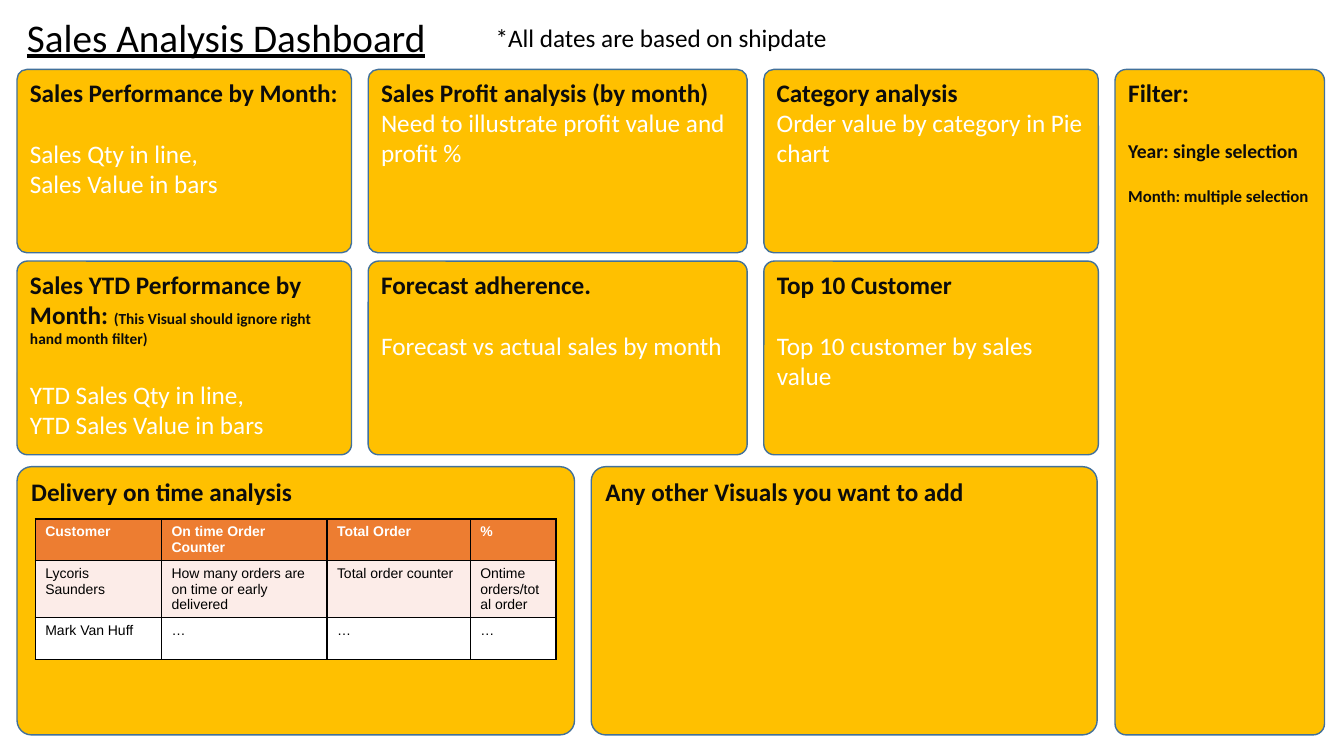
import itertools

import pptx
import pptx.dml.color
import pptx.enum.shapes
import pptx.enum.text
import pptx.oxml
import pptx.oxml.ns
import pptx.util

Cm, Pt = pptx.util.Cm, pptx.util.Pt

AMBER, EDGE, INK, WHITE, BLACK = "FFC000", "42719B", "0C0C0C", "FFFFFF", "000000"
HEADER, TINT = "ED7D31", "FCECE8"

# A line is (space before in points, [(text, size, bold, colour), ...])
def head(text):
    return 0, [(text, 18, True, INK)]


def note(text, before=0):
    return before, [(text, 18, False, WHITE)]


SKIP = 22  # height of one 18 pt line
GAP = 0.42
LEFT = 0.43
COLUMN_WIDTHS = [8.43, 9.55, 8.43, 5.28]
BOTTOM_WIDTHS = [14.05, 12.75]
ROWS = [(1.75, 4.62), (6.58, 4.88), (11.76, 6.76)]  # top, height

UPPER_PANELS = [
    [
        [head("Sales Performance by Month:"), note("Sales Qty in line,", SKIP),
         note("Sales Value in bars")],
        [head("Sales Profit analysis (by month)"),
         note("Need to illustrate profit value and profit %")],
        [head("Category analysis"), note("Order value by category in Pie chart")],
    ],
    [
        [(0, [("Sales YTD Performance by Month: ", 18, True, INK),
              ("(This Visual should ignore right hand month filter)", 11, True, INK)]),
         note("YTD Sales Qty in line,", SKIP), note("YTD Sales Value in bars")],
        [head("Forecast adherence."), note("Forecast vs actual sales by month", SKIP)],
        [head("Top 10 Customer"), note("Top 10 customer by sales value", SKIP)],
    ],
]
BOTTOM_PANELS = [
    [head("Delivery on time analysis")],
    [head("Any other Visuals you want to add")],
]
FILTER_PANEL = [
    head("Filter:"),
    (SKIP, [("Year: single selection", 14, True, INK)]),
    (17, [("Month: multiple selection", 12, True, INK)]),
]

TABLE_AT = (0.89, 13.08)
TABLE_WIDTHS = [3.18, 4.17, 3.61, 2.16]
TABLE_ROW = 1.05
DELIVERIES = [
    ["Customer", "On time Order Counter", "Total Order", "%"],
    ["Lycoris Saunders", "How many orders are on time or early delivered",
     "Total order counter", "Ontime orders/total order"],
    ["Mark Van Huff", "…", "…", "…"],
]
ROW_STYLES = [(HEADER, WHITE, True), (TINT, BLACK, False), (WHITE, BLACK, False)]

# text, left, top, width, height, size, underlined
LABELS = [
    ("Sales Analysis Dashboard", 0.43, 0.2, 10.67, 1.45, 28, True),
    ("*All dates are based on shipdate", 12.24, 0.43, 9.12, 1.02, 18, False),
]


def rgb(code):
    return pptx.dml.color.RGBColor.from_string(code)


def paint(fill, code):
    fill.solid()
    fill.fore_color.rgb = rgb(code)


def add_span(para, text, size, bold, colour, face="Calibri"):
    span = para.add_run()
    span.text = text
    span.font.name = face
    span.font.size = Pt(size)
    span.font.bold = bold
    span.font.color.rgb = rgb(colour)
    return span


def lefts(widths):
    """Left edges of side-by-side panels with equal gaps."""
    steps = (width + GAP for width in widths[:-1])
    return list(itertools.accumulate(steps, initial=LEFT))


def add_panel(page, left, top, width, height, lines):
    panel = page.shapes.add_shape(
        pptx.enum.shapes.MSO_SHAPE.ROUNDED_RECTANGLE,
        Cm(left), Cm(top), Cm(width), Cm(height))
    panel.adjustments[0] = 0.054
    panel.shadow.inherit = False
    paint(panel.fill, AMBER)
    panel.line.color.rgb = rgb(EDGE)
    panel.line.width = Pt(1)
    frame = panel.text_frame
    frame.word_wrap = True
    frame.vertical_anchor = pptx.enum.text.MSO_ANCHOR.TOP
    for index, (before, spans) in enumerate(lines):
        para = frame.add_paragraph() if index else frame.paragraphs[0]
        para.alignment = pptx.enum.text.PP_ALIGN.LEFT
        para.space_before = Pt(before)
        for span in spans:
            add_span(para, *span)


def add_borders(cell):
    for side in ("lnL", "lnR", "lnT", "lnB"):
        cell._tc.get_or_add_tcPr().append(pptx.oxml.parse_xml(
            f'<a:{side} {pptx.oxml.ns.nsdecls("a")} w="12700"><a:solidFill>'
            f'<a:srgbClr val="{BLACK}"/></a:solidFill></a:{side}>'))


def add_deliveries(page):
    table = page.shapes.add_table(
        len(DELIVERIES), len(TABLE_WIDTHS), *map(Cm, TABLE_AT),
        Cm(sum(TABLE_WIDTHS)), Cm(TABLE_ROW * len(DELIVERIES))).table
    for column, width in zip(table.columns, TABLE_WIDTHS):
        column.width = Cm(width)
    for row, texts, (back, colour, bold) in zip(table.rows, DELIVERIES, ROW_STYLES):
        row.height = Cm(TABLE_ROW)
        for cell, text in zip(row.cells, texts):
            add_borders(cell)
            paint(cell.fill, back)
            add_span(cell.text_frame.paragraphs[0], text, 10, bold, colour, "Arial")


def add_label(page, text, left, top, width, height, size, underlined):
    box = page.shapes.add_textbox(Cm(left), Cm(top), Cm(width), Cm(height))
    box.text_frame.word_wrap = True
    span = add_span(box.text_frame.paragraphs[0], text, size, False, BLACK)
    span.font.underline = underlined


def main():
    deck = pptx.Presentation()
    deck.slide_width, deck.slide_height = Cm(33.87), Cm(19.05)
    page = deck.slides.add_slide(deck.slide_layouts[6])

    columns = list(zip(lefts(COLUMN_WIDTHS), COLUMN_WIDTHS))
    bottom = list(zip(lefts(BOTTOM_WIDTHS), BOTTOM_WIDTHS))
    bands = [(columns[:3], UPPER_PANELS[0]), (columns[:3], UPPER_PANELS[1]),
             (bottom, BOTTOM_PANELS)]
    for (top, height), (slots, panels) in zip(ROWS, bands):
        for (left, width), lines in zip(slots, panels):
            add_panel(page, left, top, width, height, lines)

    first_top = ROWS[0][0]
    full_height = sum(ROWS[-1]) - first_top
    filter_left, filter_width = columns[3]
    add_panel(page, filter_left, first_top, filter_width, full_height, FILTER_PANEL)

    add_deliveries(page)
    for label in LABELS:
        add_label(page, *label)
    deck.save("out.pptx")


if __name__ == "__main__":
    main()
